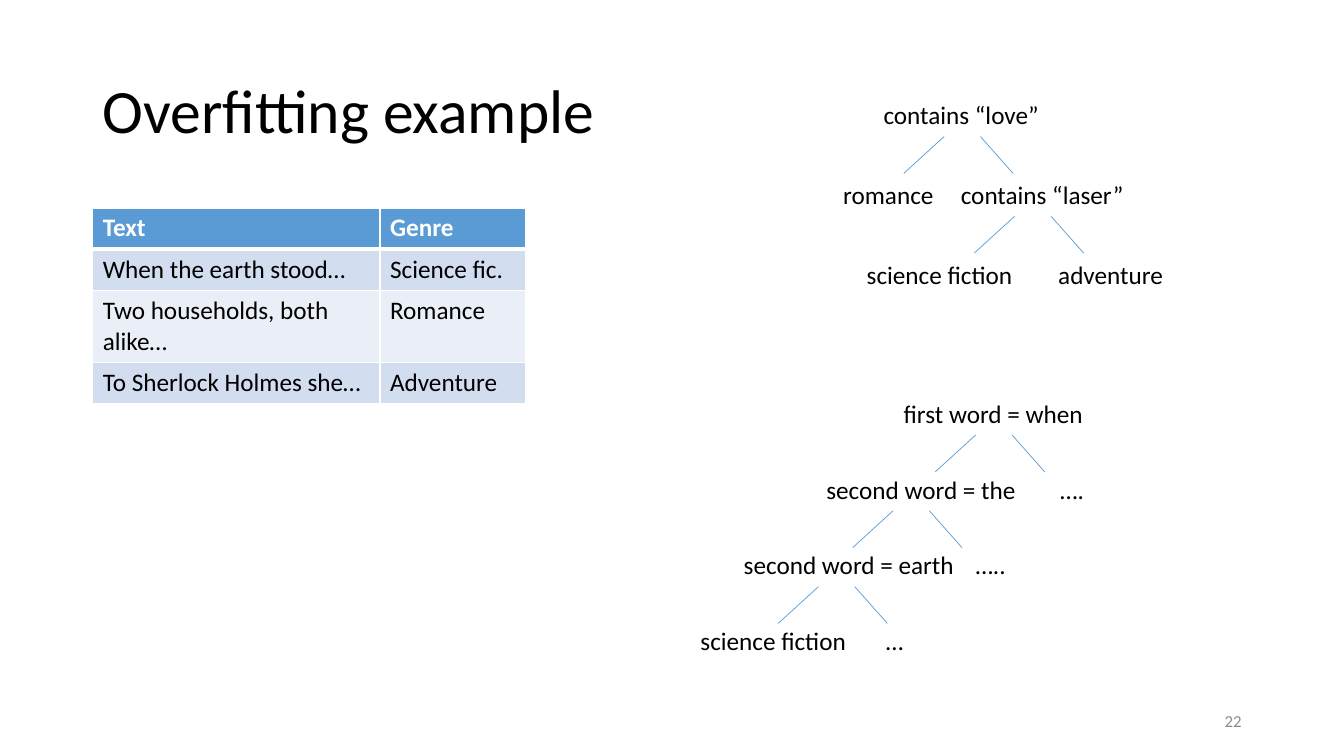
from lxml.etree import SubElement
from pptx import Presentation
from pptx.dml.color import RGBColor
from pptx.enum.shapes import MSO_CONNECTOR
from pptx.enum.text import MSO_ANCHOR, MSO_AUTO_SIZE, PP_ALIGN
from pptx.oxml.ns import qn
from pptx.util import Inches, Pt

SLIDE_WIDTH, SLIDE_HEIGHT = Inches(13.333), Inches(7.5)
COLUMNS, ROWS = 40, 30
COLORS = {
    "text": "000000",
    "white": "FFFFFF",
    "accent": "5B9BD5",
    "band_dark": "D2DEEF",
    "band_light": "EAEFF7",
    "number": "8C8C8C",
}
GENRES = [
    ("Text", "Genre"),
    ("When the earth stood…", "Science fic."),
    ("Two households, both alike…", "Romance"),
    ("To Sherlock Holmes she…", "Adventure"),
]
# Each level holds its nodes as (label, column, width) and the column of its fork.
KEYWORD_TREE = [
    ([("contains “love”", 26, 5.25)], 28.1),
    ([("romance", 24.8, 3.33), ("contains “laser”", 28.3, 5.46)], 30.2),
    ([("science fiction", 25.5, 5.04), ("adventure", 31.2, 3.75)], None),
]
WORD_TREE = [
    ([("first word = when", 26.6, 6)], 29.04),
    ([("second word = the", 24.3, 6.3), ("….", 31.26, 1.32)], 26.58),
    ([("second word = earth", 21.84, 6.9), ("…..", 28.74, 1.5)], 24.36),
    ([("science fiction", 20.55, 5.04), ("…", 26.07, 1.14)], None),
]
LABEL_HEIGHT = 1.6


def across(columns):
    return round(SLIDE_WIDTH * columns / COLUMNS)


def down(rows):
    return round(SLIDE_HEIGHT * rows / ROWS)


def rgb(name):
    return RGBColor.from_string(COLORS[name])


def write(frame, text, size=18, color="text", bold=False,
          align=PP_ALIGN.LEFT, anchor=MSO_ANCHOR.TOP, spacing=None):
    frame.vertical_anchor = anchor
    paragraph = frame.paragraphs[0]
    paragraph.alignment = align
    paragraph.line_spacing = spacing
    run = paragraph.add_run()
    run.text = text
    run.font.name = "Calibri"
    run.font.size = Pt(size)
    run.font.bold = bold
    run.font.color.rgb = rgb(color)


def add_label(slide, text, column, row, width, wrap=False, **style):
    """Add a text box that grows with its text unless it wraps."""
    frame = slide.shapes.add_textbox(
        across(column), down(row), across(width), down(LABEL_HEIGHT)).text_frame
    frame.word_wrap = wrap
    frame.auto_size = MSO_AUTO_SIZE.NONE if wrap else MSO_AUTO_SIZE.SHAPE_TO_FIT_TEXT
    write(frame, text, **style)


def add_branch(slide, start, end, row):
    branch = slide.shapes.add_connector(
        MSO_CONNECTOR.STRAIGHT, across(start), down(row), across(end), down(row + 1.46))
    branch.line.color.rgb = rgb("accent")
    branch.line.width = Pt(0.5)
    SubElement(branch._element.spPr, qn("a:effectLst"))


def add_tree(slide, levels, top, step):
    for depth, (nodes, fork) in enumerate(levels):
        row = top + depth * step
        for text, column, width in nodes:
            add_label(slide, text, column, row, width)
        if fork is not None:
            add_branch(slide, fork, fork - 1.2, row + 1.66)
            add_branch(slide, fork + 1.08, fork + 2.05, row + 1.66)


def set_borders(cell, bottom):
    properties = cell._tc.get_or_add_tcPr()
    widths = {"a:lnL": 1, "a:lnR": 1, "a:lnT": 1, "a:lnB": bottom}
    for position, (side, width) in enumerate(widths.items()):
        border = properties.makeelement(qn(side), {"w": str(Pt(width))})
        fill = SubElement(border, qn("a:solidFill"))
        SubElement(fill, qn("a:srgbClr"), val=COLORS["white"])
        properties.insert(position, border)


def add_genre_table(slide):
    widths = [across(8.55), across(4.32)]
    table = slide.shapes.add_table(
        len(GENRES), len(widths), across(2.76), down(8.25),
        sum(widths), down(1.64 * len(GENRES))).table
    for column, width in zip(table.columns, widths):
        column.width = width
    for index, texts in enumerate(GENRES):
        header = index == 0
        band = "accent" if header else "band_dark" if index % 2 else "band_light"
        for cell, text in zip(table.rows[index].cells, texts):
            cell.fill.solid()
            cell.fill.fore_color.rgb = rgb(band)
            set_borders(cell, bottom=3 if header else 1)
            write(cell.text_frame, text, bold=header,
                  color="white" if header else "text")


def add_title(slide, text):
    title = slide.shapes.title
    title.left, title.top = across(2.75), down(1.6)
    title.width, title.height = across(34.5), down(5.8)
    write(title.text_frame, text, size=44, anchor=MSO_ANCHOR.MIDDLE, spacing=0.9)


def main():
    deck = Presentation()
    deck.slide_width, deck.slide_height = SLIDE_WIDTH, SLIDE_HEIGHT
    slide = deck.slides.add_slide(deck.slide_layouts.get_by_name("Title Only"))
    add_title(slide, "Overfitting example")
    add_genre_table(slide)
    add_tree(slide, KEYWORD_TREE, top=3.76, step=3.16)
    add_tree(slide, WORD_TREE, top=15.6, step=3.01)
    add_label(slide, "22", 28.25, 27.8, 9, wrap=True, size=12, color="number",
              align=PP_ALIGN.RIGHT, anchor=MSO_ANCHOR.MIDDLE)
    deck.save("out.pptx")


if __name__ == "__main__":
    main()
